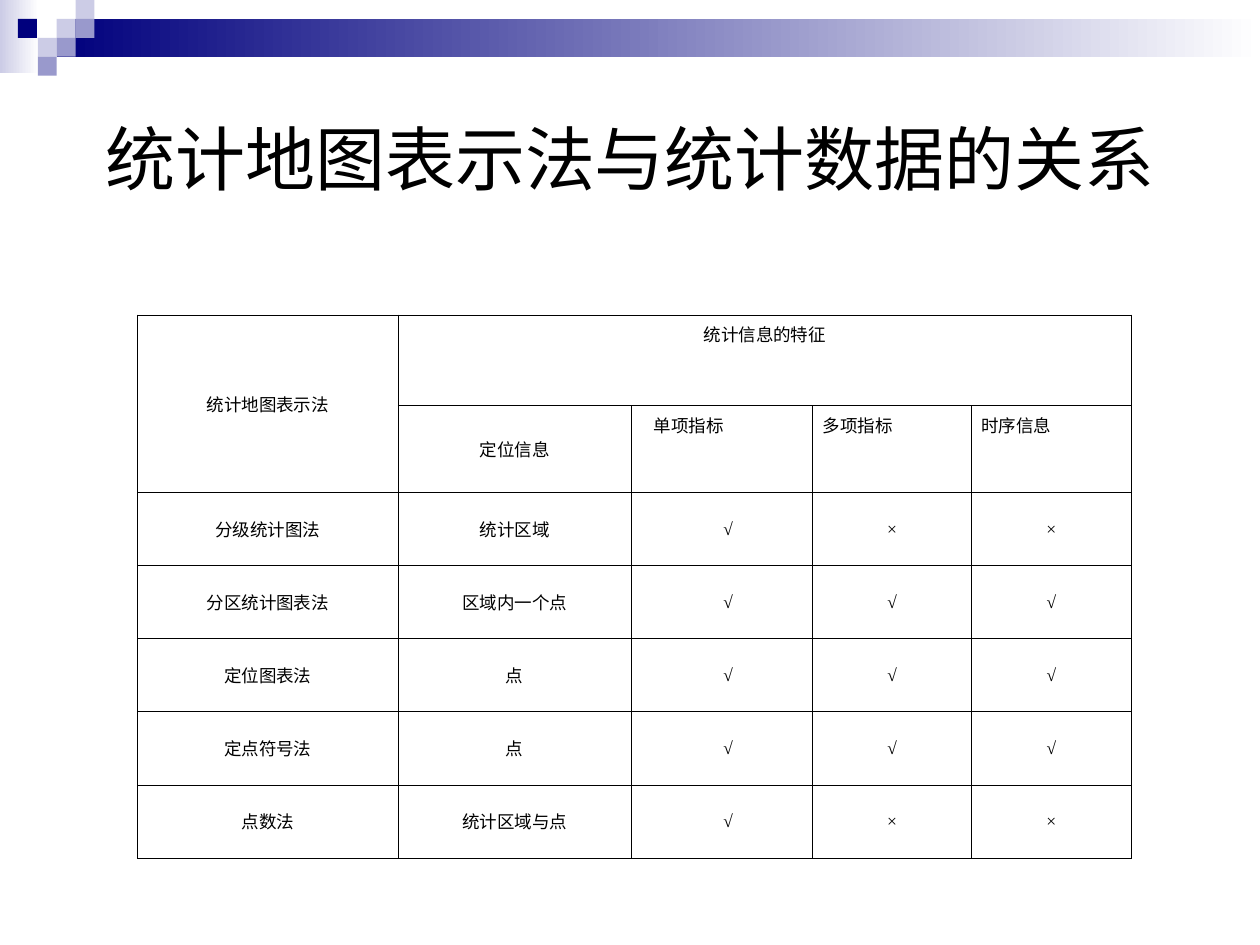
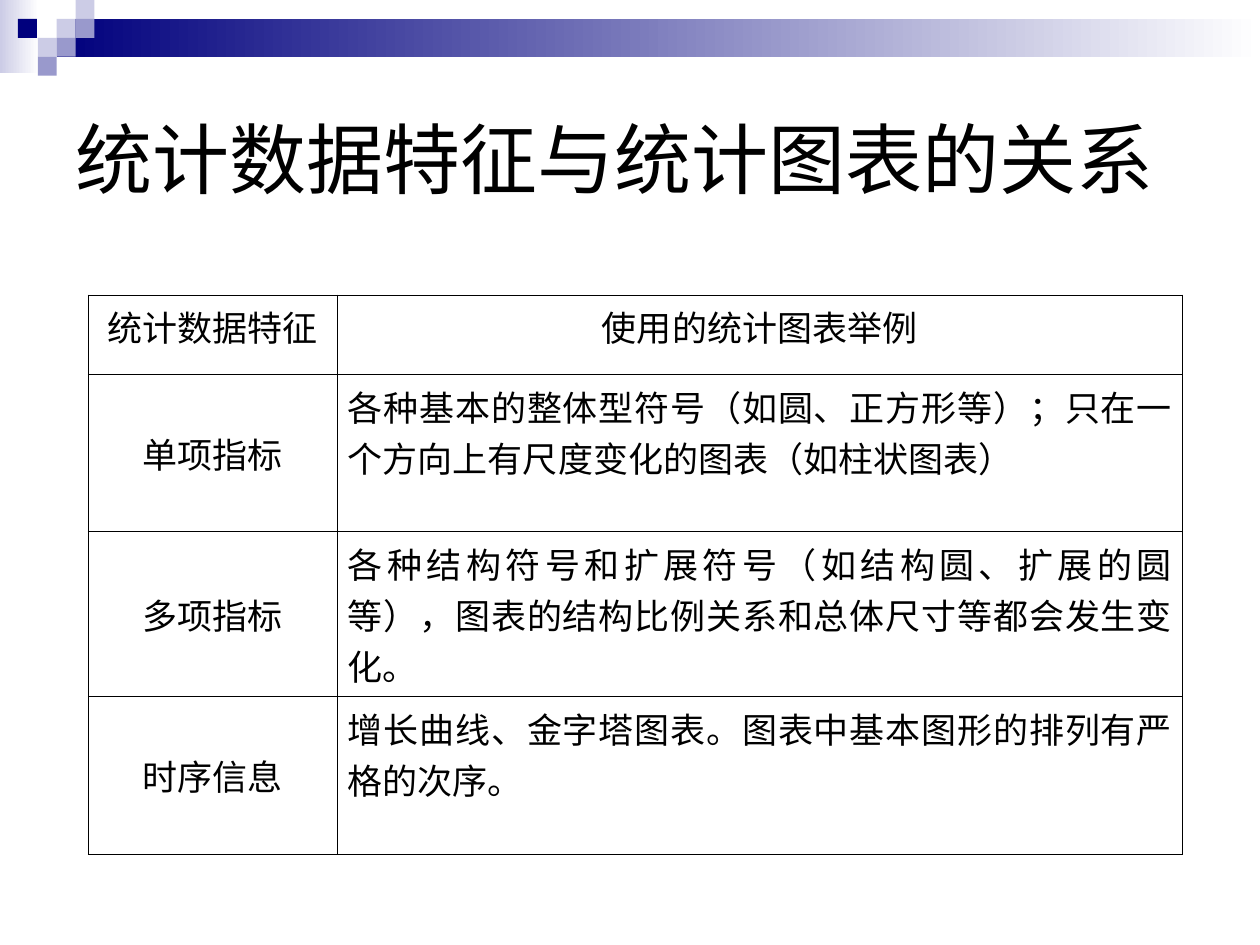
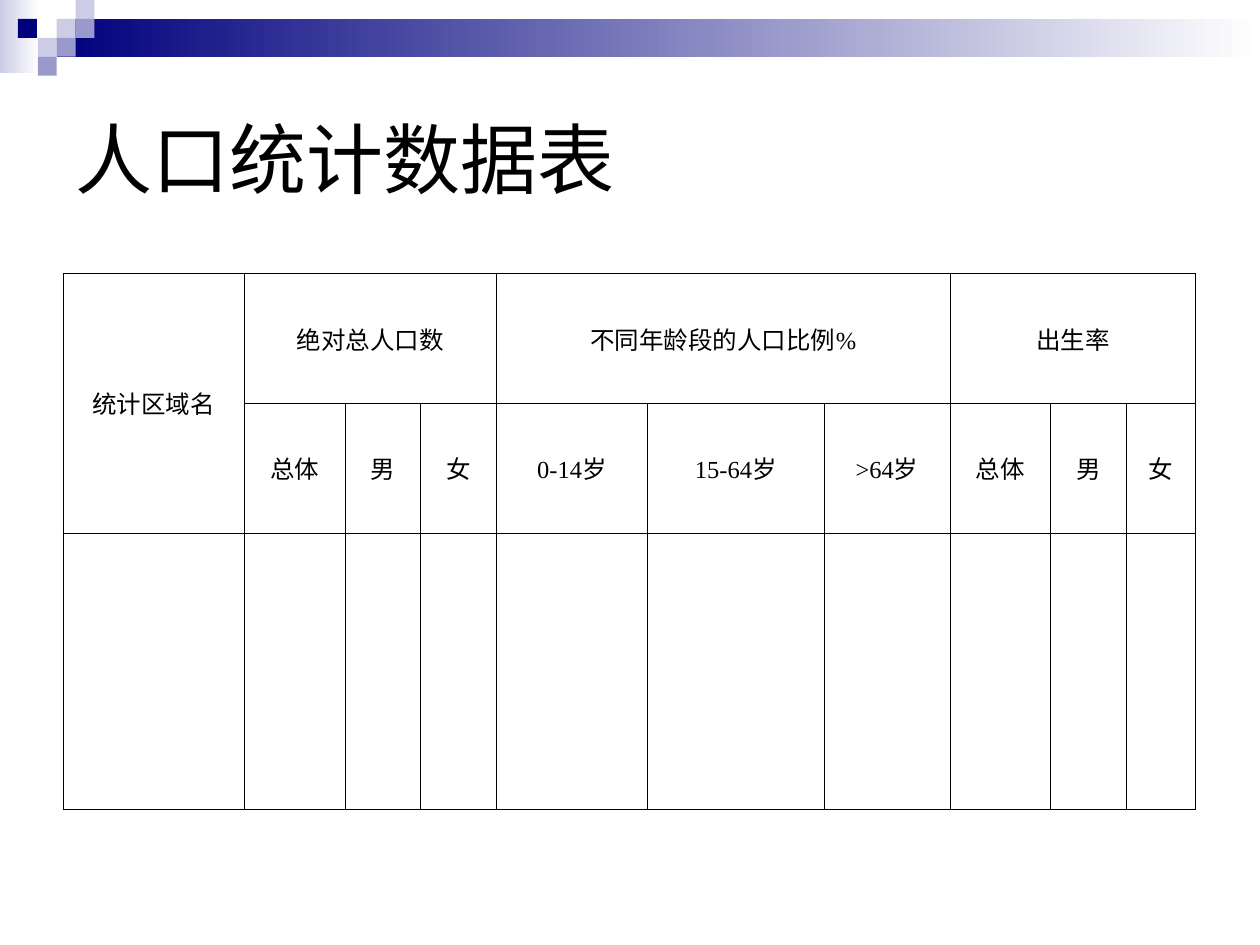
from lxml.etree import fromstring
from pptx import Presentation
from pptx.dml.color import RGBColor
from pptx.enum.shapes import MSO_SHAPE
from pptx.enum.text import MSO_ANCHOR, MSO_AUTO_SIZE, PP_ALIGN
from pptx.util import Inches, Pt

NAVY, LAVENDER, PERIWINKLE = "00007D", "CCCCE6", "9999CC"
WHITE, BLACK = "FFFFFF", "000000"
TILE = 0.15
BORDER_WIDTH = Pt(0.45)
DRAWING = "http://schemas.openxmlformats.org/drawingml/2006/main"


def set_colors(fill, *colors):
    if len(colors) == 1:
        fill.solid()
        fill.fore_color.rgb = RGBColor.from_string(colors[0])
        return
    fill.gradient()
    fill.gradient_angle = 0
    for stop, color in zip(fill.gradient_stops, colors):
        stop.color.rgb = RGBColor.from_string(color)


def add_borders(cell):
    properties = cell._tc.get_or_add_tcPr()
    for index, side in enumerate("LRTB"):
        properties.insert(index, fromstring(
            f'<a:ln{side} xmlns:a="{DRAWING}" w="{BORDER_WIDTH}"><a:solidFill>'
            f'<a:srgbClr val="{BLACK}"/></a:solidFill></a:ln{side}>'))


bands = [
    (0, 0, 0.31, 0.58, [LAVENDER, WHITE]),
    (3 * TILE, TILE, 10 - 3 * TILE, 2 * TILE, [NAVY, WHITE]),
]
tiles = [
    (3, 1, LAVENDER), (4, 0, LAVENDER), (4, 1, PERIWINKLE), (2, 2, LAVENDER),
    (0.95, 1, NAVY), (3, 2, PERIWINKLE), (2, 3, PERIWINKLE),
]
bands += [(column * TILE, row * TILE, TILE, TILE, [color]) for column, row, color in tiles]

pages = [
    {
        "title": "统计地图表示法与统计数据的关系",
        "title_size": 40, "title_alignment": PP_ALIGN.CENTER,
        "left": 1.09, "top": 2.5, "size": 10, "margin": 0.08,
        "columns": [2.07, 1.85, 1.44, 1.26, 1.27],
        "rows": [0.72, 0.69] + [0.58] * 5,
        "spans": [(0, 0, 1, 0), (0, 1, 0, 4)],
        "top_cells": [(0, 1)],
        "justified_cells": [(1, 2), (1, 3), (1, 4)],
        "indented_column": 2,
        "cells": [
            ["统计地图表示法", "统计信息的特征", "", "", ""],
            ["", "定位信息", "单项指标", "多项指标", "时序信息"],
            ["分级统计图法", "统计区域", "√", "×", "×"],
            ["分区统计图表法", "区域内一个点", "√", "√", "√"],
            ["定位图表法", "点", "√", "√", "√"],
            ["定点符号法", "点", "√", "√", "√"],
            ["点数法", "统计区域与点", "√", "×", "×"],
        ],
    },
    {
        "title": "统计数据特征与统计图表的关系",
        "title_size": 44, "title_alignment": PP_ALIGN.LEFT,
        "left": 0.7, "top": 2.34, "size": 20, "margin": 0.08,
        "columns": [1.98, 6.7],
        "rows": [0.63] + [1.25] * 3,
        "spans": [],
        "top_cells": [(0, 0), (0, 1)],
        "justified_cells": [(1, 1), (2, 1), (3, 1)],
        "indented_column": None,
        "cells": [
            ["统计数据特征", "使用的统计图表举例"],
            ["单项指标", "各种基本的整体型符号（如圆、正方形等）；只在一个方向上有尺度变化的图表（如柱状图表）"],
            ["多项指标", "各种结构符号和扩展符号（如结构圆、扩展的圆等），图表的结构比例关系和总体尺寸等都会发生变化。"],
            ["时序信息", "增长曲线、金字塔图表。图表中基本图形的排列有严格的次序。"],
        ],
    },
    {
        "title": "人口统计数据表",
        "title_size": 44, "title_alignment": PP_ALIGN.LEFT,
        "left": 0.5, "top": 2.17, "size": 14, "margin": 0.1,
        "columns": [1.44, 0.8, 0.6, 0.6, 1.2, 1.4, 1, 0.8, 0.6, 0.55],
        "rows": [1.03, 1.03, 2.19],
        "spans": [(0, 0, 1, 0), (0, 1, 0, 3), (0, 4, 0, 6), (0, 7, 0, 9)],
        "top_cells": [],
        "justified_cells": [],
        "indented_column": None,
        "cells": [
            ["统计区域名", "绝对总人口数", "", "", "不同年龄段的人口比例%", "", "", "出生率", "", ""],
            ["", "总体", "男", "女", "0-14岁", "15-64岁", ">64岁", "总体", "男", "女"],
            [""] * 10,
        ],
    },
]

presentation = Presentation()
presentation.slide_width, presentation.slide_height = Inches(10), Inches(7.5)
title_only = presentation.slide_layouts[5]
slides = [presentation.slides.add_slide(title_only) for page in pages]

for left, top, width, height, colors in bands:
    band = slides[0].shapes.add_shape(
        MSO_SHAPE.RECTANGLE, Inches(left), Inches(top), Inches(width), Inches(height))
    band.shadow.inherit = False
    band.line.fill.background()
    set_colors(band.fill, *colors)
    presentation.slide_master.shapes.element.append(band.element)

for slide, page in zip(slides, pages):
    set_colors(slide.background.fill, WHITE)
    title = slide.shapes.title
    title.left, title.top = Inches(0.5), Inches(0.5)
    title.width, title.height = Inches(9), Inches(1.5)
    title.text_frame.text = page["title"]
    title.text_frame.auto_size = MSO_AUTO_SIZE.NONE
    title.text_frame.vertical_anchor = MSO_ANCHOR.MIDDLE
    paragraph = title.text_frame.paragraphs[0]
    paragraph.alignment = page["title_alignment"]
    font = paragraph.runs[0].font
    font.name, font.size = "Arial", Pt(page["title_size"])
    set_colors(font.fill, BLACK)

    columns, rows = page["columns"], page["rows"]
    table = slide.shapes.add_table(
        len(rows), len(columns), Inches(page["left"]), Inches(page["top"]),
        Inches(sum(columns)), Inches(sum(rows))).table
    table.first_row = table.horz_banding = False
    for column, width in zip(table.columns, columns):
        column.width = Inches(width)
    for row, height in zip(table.rows, rows):
        row.height = Inches(height)
    for first_row, first_column, last_row, last_column in page["spans"]:
        table.cell(first_row, first_column).merge(table.cell(last_row, last_column))

    for row, texts in enumerate(page["cells"]):
        for column, text in enumerate(texts):
            cell = table.cell(row, column)
            cell.fill.background()
            add_borders(cell)
            cell.margin_left = cell.margin_right = Inches(page["margin"])
            if column == page["indented_column"] and row > 0:
                cell.margin_left = Inches(page["margin"] + 0.1)
            justified = (row, column) in page["justified_cells"]
            at_top = justified or (row, column) in page["top_cells"]
            cell.vertical_anchor = MSO_ANCHOR.TOP if at_top else MSO_ANCHOR.MIDDLE
            if not text:
                continue
            cell.text_frame.text = text
            paragraph = cell.text_frame.paragraphs[0]
            paragraph.alignment = PP_ALIGN.JUSTIFY if justified else PP_ALIGN.CENTER
            paragraph._p.get_or_add_pPr().set("hangingPunct", "0")
            font = paragraph.runs[0].font
            font.name, font.size = "Times New Roman", Pt(page["size"])
            set_colors(font.fill, BLACK)

presentation.save("out.pptx")
